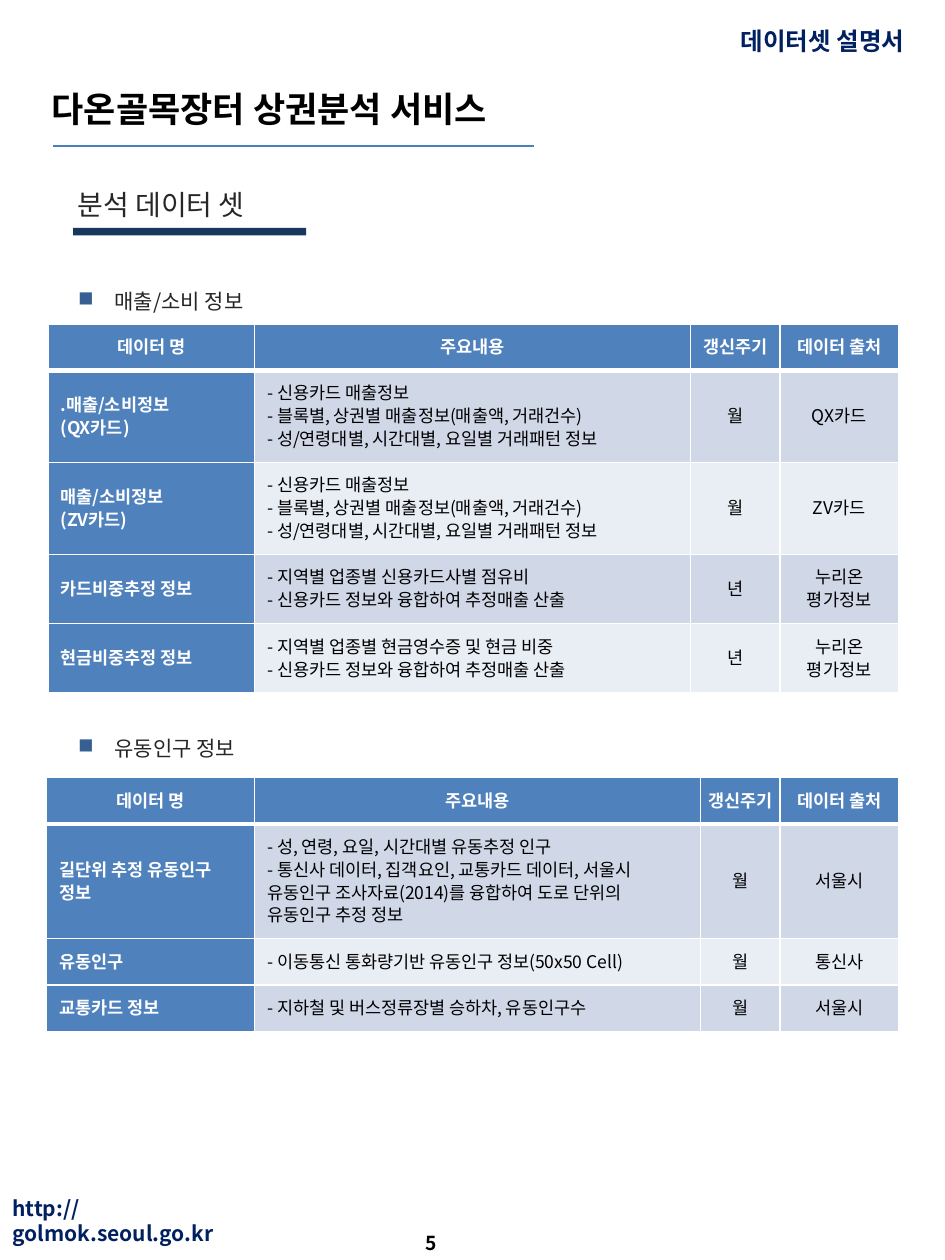
from lxml import etree
from pptx import Presentation
from pptx.dml.color import RGBColor
from pptx.enum import shapes, text
from pptx.oxml import ns
from pptx.util import Inches, Pt

FONT = "Noto Sans CJK KR"
NAVY, BLUE, WHITE, BLACK, GRAY = "002060", "4F81BD", "FFFFFF", "000000", "262626"
BANDS = ("D0D8E8", "E9EDF4")
HEADERS = ("데이터 명", "주요내용", "갱신주기", "데이터 출처")
CARD_SALES = ("- 신용카드 매출정보\n- 블록별, 상권별 매출정보(매출액, 거래건수)\n"
              "- 성/연령대별, 시간대별, 요일별 거래패턴 정보")
FUSION = "\n- 신용카드 정보와 융합하여 추정매출 산출"
BUREAU = "누리온\n평가정보"
# Each row ends with its number of text lines
SALES_ROWS = (
    (".매출/소비정보\n(QX카드)", CARD_SALES, "월", "QX카드", 3),
    ("매출/소비정보\n(ZV카드)", CARD_SALES, "월", "ZV카드", 3),
    ("카드비중추정 정보", "- 지역별 업종별 신용카드사별 점유비" + FUSION, "년", BUREAU, 2),
    ("현금비중추정 정보", "- 지역별 업종별 현금영수증 및 현금 비중" + FUSION, "년", BUREAU, 2),
)
POPULATION_ROWS = (
    ("길단위 추정 유동인구 정보",
     "- 성, 연령, 요일, 시간대별 유동추정 인구\n- 통신사 데이터, 집객요인, 교통카드 데이터, "
     "서울시 유동인구 조사자료(2014)를 융합하여 도로 단위의 유동인구 추정 정보", "월", "서울시", 4),
    ("유동인구", "- 이동통신 통화량기반 유동인구 정보(50x50 Cell)", "월", "통신사", 1),
    ("교통카드 정보", "- 지하철 및 버스정류장별 승하차, 유동인구수", "월", "서울시", 1),
)


def rgb(value):
    return RGBColor.from_string(value)


def add_element(parent, tag, **attributes):
    return etree.SubElement(parent, ns.qn(tag), attributes)


def place(shape, box):
    shape.left, shape.top, shape.width, shape.height = map(Inches, box)


def write(paragraph, content, size, color, bold=False):
    for index, line in enumerate(content.split("\n")):
        if index:
            paragraph.add_line_break()
        run = paragraph.add_run()
        run.text = line
        run.font.size, run.font.bold, run.font.name = Pt(size), bold, FONT
        run.font.color.rgb = rgb(color)
        add_element(run.font._element, "a:ea", typeface=FONT)


def add_text(parent, box, content, size, color, bold=False, wrap=False,
             anchor=text.MSO_ANCHOR.TOP):
    shape = parent.add_textbox(*map(Inches, box))
    shape.text_frame.word_wrap = wrap
    shape.text_frame.vertical_anchor = anchor
    write(shape.text_frame.paragraphs[0], content, size, color, bold)


def fill_title(slide, box, content):
    title = slide.shapes.title
    place(title, box)
    frame = title.text_frame
    frame.auto_size, frame.word_wrap = text.MSO_AUTO_SIZE.NONE, False
    frame.vertical_anchor = text.MSO_ANCHOR.MIDDLE
    frame.paragraphs[0].alignment = text.PP_ALIGN.LEFT
    write(frame.paragraphs[0], content, 20, BLACK, True)

    # Rule below the title
    rule = slide.shapes.add_connector(
        shapes.MSO_CONNECTOR.STRAIGHT, *map(Inches, (0.42, 1.16, 4.24, 1.16)))
    rule.line.color.rgb = rgb("4B7EBC")
    rule.line.width = Pt(0.75)
    add_element(rule._element.spPr, "a:effectLst")


def add_subtitle(slide, box, content):
    left, top, width, height = box
    group = slide.shapes.add_group_shape()
    add_text(group.shapes, box, content, 16, GRAY, wrap=True)
    bar = group.shapes.add_shape(
        shapes.MSO_SHAPE.RECTANGLE,
        *map(Inches, (left + 0.06, top + height, 1.85, 0.06)))
    bar.shadow.inherit = False
    bar.fill.solid()
    bar.fill.fore_color.rgb = rgb("17375E")
    bar.line.fill.background()


def fill_heading(placeholder, box, content):
    place(placeholder, box)
    frame = placeholder.text_frame
    frame.auto_size, frame.word_wrap = text.MSO_AUTO_SIZE.NONE, True
    frame.vertical_anchor = text.MSO_ANCHOR.TOP
    paragraph = frame.paragraphs[0]
    paragraph.line_spacing = 1.5
    paragraph.space_before, paragraph.space_after = Pt(0), Pt(6)
    properties = paragraph._p.get_or_add_pPr()
    properties.set("marL", str(Inches(0.29)))
    properties.set("indent", str(-Inches(0.29)))
    bullet_color = add_element(properties, "a:buClr")
    add_element(bullet_color, "a:srgbClr", val="376092")
    add_element(properties, "a:buFont", typeface="Wingdings")
    add_element(properties, "a:buChar", char="n")
    write(paragraph, content, 12, GRAY)


def fill_cell(cell, content, fill, color, bold, centred, bottom_width):
    cell.margin_left = cell.margin_right = Inches(0 if centred else 0.1)
    cell.margin_top = cell.margin_bottom = Inches(0.09)
    cell.vertical_anchor = text.MSO_ANCHOR.MIDDLE
    properties = cell._tc.get_or_add_tcPr()
    for side in "LRTB":
        width = bottom_width if side == "B" else 1
        border = add_element(properties, f"a:ln{side}", w=str(Pt(width)))
        solid = add_element(border, "a:solidFill")
        add_element(solid, "a:srgbClr", val=WHITE)
    cell.fill.solid()
    cell.fill.fore_color.rgb = rgb(fill)
    paragraph = cell.text_frame.paragraphs[0]
    paragraph.line_spacing = Pt(13)
    paragraph.alignment = text.PP_ALIGN.CENTER if centred else text.PP_ALIGN.LEFT
    write(paragraph, content, 10, color, bold)


def add_data_table(slide, left, top, widths, rows):
    heights = [0.19 + 0.18 * lines for lines in (1, *(row[-1] for row in rows))]
    table = slide.shapes.add_table(
        len(heights), len(widths),
        *map(Inches, (left, top, sum(widths), sum(heights)))).table
    table.horz_banding = False
    for column, width in zip(table.columns, widths):
        column.width = Inches(width)
    for row, height in zip(table.rows, heights):
        row.height = Inches(height)

    # Header row
    for index, header in enumerate(HEADERS):
        fill_cell(table.cell(0, index), header, BLUE, WHITE, True, True, 3)

    # Data rows: a blue name column, then banded cells
    for row_index, row in enumerate(rows, 1):
        for index, content in enumerate(row[:-1]):
            is_name = index == 0
            fill = BLUE if is_name else BANDS[(row_index - 1) % 2]
            fill_cell(table.cell(row_index, index), content, fill,
                      WHITE if is_name else BLACK, is_name, index > 1, 1)


def main():
    presentation = Presentation()
    presentation.slide_width, presentation.slide_height = Inches(7.5), Inches(10)
    slide = presentation.slides.add_slide(presentation.slide_layouts[3])
    middle = text.MSO_ANCHOR.MIDDLE

    # Page header and footer
    fill_title(slide, (0.31, 0.46, 5.04, 0.8), "다온골목장터 상권분석 서비스")
    add_text(slide.shapes, (5.78, 0.16, 1.64, 0.34), "데이터셋 설명서", 14, NAVY, True)
    add_text(slide.shapes, (0, 9.37, 1.84, 0.63), "http://golmok.seoul.go.kr",
             12, NAVY, True, anchor=middle)
    add_text(slide.shapes, (3.28, 9.72, 1, 0.28), "5", 11, BLACK, True, anchor=middle)

    add_subtitle(slide, (0.52, 1.44, 6.13, 0.37), "분석 데이터 셋")

    # Sales and spending data
    fill_heading(slide.placeholders[1], (0.52, 2.14, 6.37, 0.4), "매출/소비 정보")
    add_data_table(slide, 0.38, 2.57, (1.64, 3.46, 0.71, 0.94), SALES_ROWS)

    # Floating population data
    fill_heading(slide.placeholders[2], (0.52, 5.69, 6.37, 0.4), "유동인구 정보")
    add_data_table(slide, 0.37, 6.17, (1.65, 3.54, 0.63, 0.94), POPULATION_ROWS)

    presentation.save("out.pptx")


if __name__ == "__main__":
    main()
